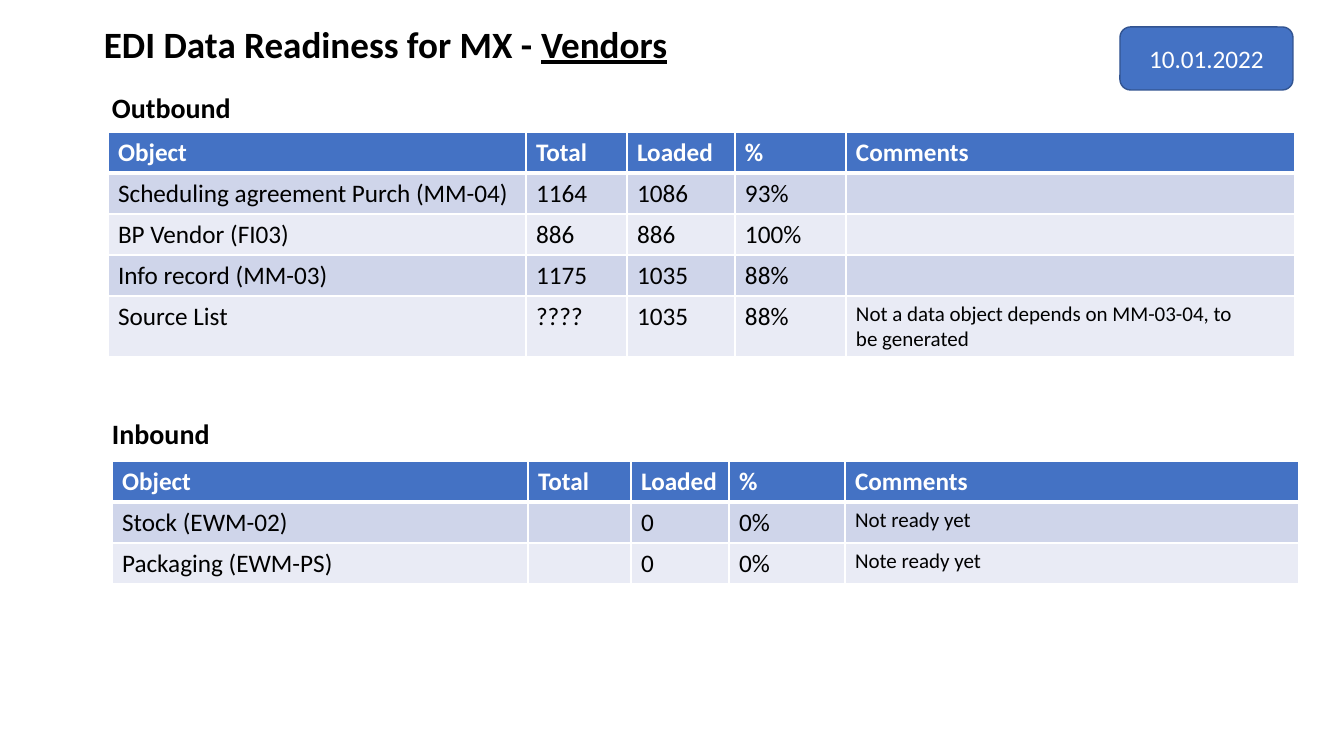
import pptx
import pptx.util
import pptx.dml.color
import pptx.enum.shapes
import pptx.enum.text
import pptx.oxml
import pptx.oxml.ns

PIXEL = 914400 / 100.8
FONT = "Calibri"
BLACK = pptx.dml.color.RGBColor(0x00, 0x00, 0x00)
WHITE = pptx.dml.color.RGBColor(0xFF, 0xFF, 0xFF)
BLUE = pptx.dml.color.RGBColor(0x44, 0x72, 0xC4)
DARK_BLUE = pptx.dml.color.RGBColor(0x32, 0x54, 0x91)
BAND_DARK = pptx.dml.color.RGBColor(0xCF, 0xD5, 0xEA)
BAND_LIGHT = pptx.dml.color.RGBColor(0xE9, 0xEB, 0xF5)


def pixels(*lengths):
    return [round(length * PIXEL) for length in lengths]


def style(font, size, color, bold=False):
    font.name = FONT
    font.size = pptx.util.Pt(size)
    font.color.rgb = color
    font.bold = bold


presentation = pptx.Presentation()
presentation.slide_width, presentation.slide_height = pixels(1344, 756)
slide = presentation.slides.add_slide(presentation.slide_layouts[6])

# Title and section headings
headings = [
    (94, 24, 26.5, 0.8, ["EDI Data Readiness for MX - ", "Vendors"]),
    (102, 86, 20, 0.9, ["Outbound"]),
    (102, 412, 20, 0.9, ["Inbound"]),
]
for left, top, size, spacing, texts in headings:
    text_frame = slide.shapes.add_textbox(*pixels(left, top, 936, 47)).text_frame
    text_frame.word_wrap = True
    text_frame.vertical_anchor = pptx.enum.text.MSO_ANCHOR.MIDDLE
    paragraph = text_frame.paragraphs[0]
    paragraph.line_spacing = spacing
    for index, text in enumerate(texts):
        run = paragraph.add_run()
        run.text = text
        style(run.font, size, BLACK, bold=True)
        if index == 1:
            run.font.underline = True

# Outbound and inbound tables
HEADER = ["Object", "Total", "Loaded", "%", "Comments"]
tables = [
    (108, 132, [418, 101, 108, 111, 449], [41, 41, 41, 41, 60], [
        HEADER,
        ["Scheduling agreement Purch (MM-04)", "1164", "1086", "93%", ""],
        ["BP Vendor (FI03)", "886", "886", "100%", ""],
        ["Info record (MM-03)", "1175", "1035", "88%", ""],
        ["Source List", "????", "1035", "88%",
         "Not a data object depends on MM-03-04, to be\u00a0generated"],
    ]),
    (112, 461, [416, 103, 98, 116, 454], [41, 41, 41], [
        HEADER,
        ["Stock (EWM-02)", "", "0", "0%", "Not ready yet"],
        ["Packaging (EWM-PS)", "", "0", "0%", "Note ready yet"],
    ]),
]
for left, top, widths, heights, rows in tables:
    table = slide.shapes.add_table(
        len(rows), len(widths),
        *pixels(left, top, sum(widths), sum(heights))).table
    for column, width in zip(table.columns, pixels(*widths)):
        column.width = width
    for row, height in zip(table.rows, pixels(*heights)):
        row.height = height
    for row_index, texts in enumerate(rows):
        is_header = row_index == 0
        fill_color = BLUE if is_header else BAND_DARK if row_index % 2 else BAND_LIGHT
        for column_index, text in enumerate(texts):
            cell = table.cell(row_index, column_index)
            cell.text = text
            cell.fill.solid()
            cell.fill.fore_color.rgb = fill_color
            paragraph = cell.text_frame.paragraphs[0]
            is_comment = bool(text) and column_index == 4 and not is_header
            size = 15 if is_comment else 18
            for run in paragraph.runs:
                style(run.font, size, WHITE if is_header else BLACK, is_header)

            # White borders, thicker below the header
            top_width = 3 if row_index == 1 else 1
            bottom_width = 3 if is_header else 1
            borders = [("L", 1), ("R", 1), ("T", top_width), ("B", bottom_width)]
            properties = cell._tc.get_or_add_tcPr()
            for position, (side, points) in enumerate(borders):
                properties.insert(position, pptx.oxml.parse_xml(
                    f'<a:ln{side} {pptx.oxml.ns.nsdecls("a")} w="{points * 12700}">'
                    f'<a:solidFill><a:srgbClr val="{WHITE}"/></a:solidFill></a:ln{side}>'))

# Date badge
badge = slide.shapes.add_shape(
    pptx.enum.shapes.MSO_SHAPE.ROUNDED_RECTANGLE, *pixels(1120, 27, 173, 63))
badge.shadow.inherit = False
badge.fill.solid()
badge.fill.fore_color.rgb = BLUE
badge.line.color.rgb = DARK_BLUE
badge.line.width = pptx.util.Pt(1)
badge.text_frame.text = "10.01.2022"
badge.text_frame.vertical_anchor = pptx.enum.text.MSO_ANCHOR.MIDDLE
paragraph = badge.text_frame.paragraphs[0]
paragraph.alignment = pptx.enum.text.PP_ALIGN.CENTER
style(paragraph.runs[0].font, 18, WHITE)

presentation.save("out.pptx")
